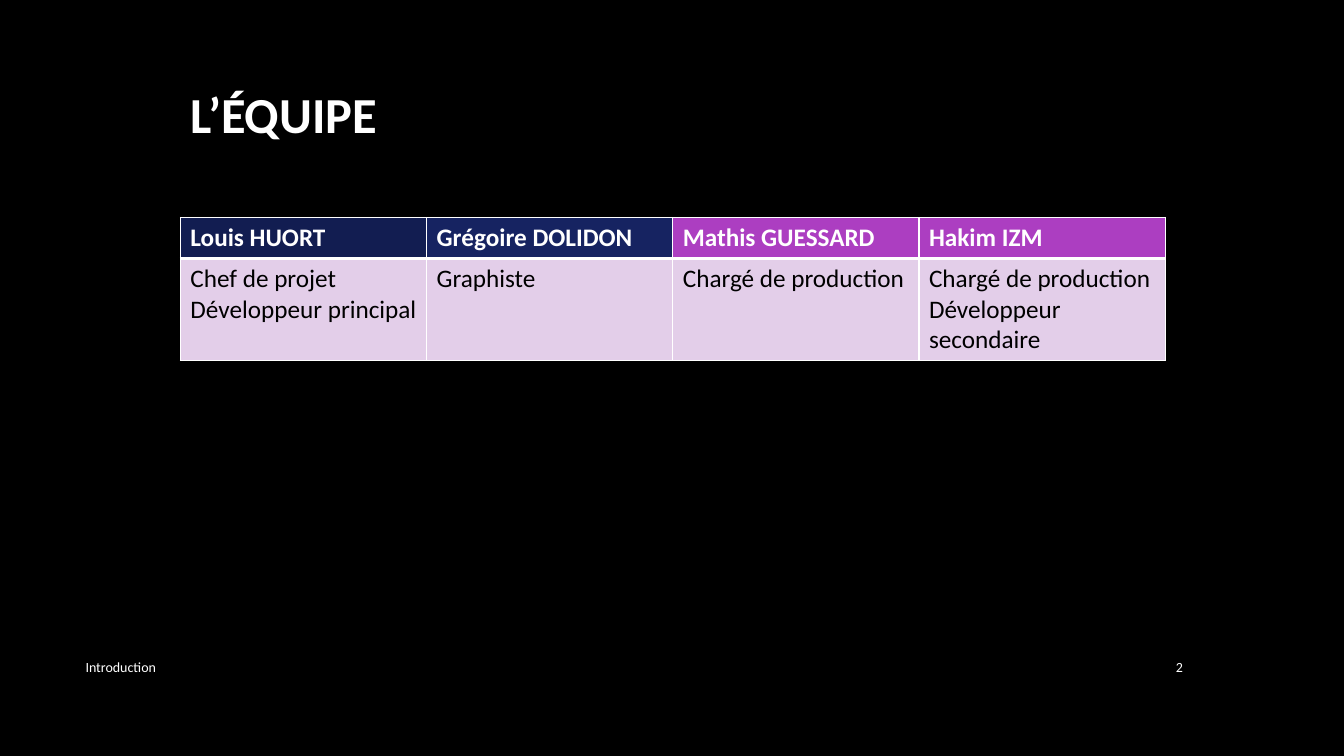
from dataclasses import dataclass

from lxml.etree import SubElement
from pptx import Presentation
from pptx.dml.color import RGBColor
from pptx.enum.text import MSO_ANCHOR, PP_ALIGN
from pptx.oxml.ns import qn
from pptx.util import Inches, Pt

COLORS = {
    "black": "000000",
    "white": "FFFFFF",
    "navy": "121D51",
    "blue": "162361",
    "purple": "AC3EC1",
    "lilac": "E3CEE9",
}
FONT = "Calibri"

# Slide grid: 160 columns by 90 rows
WIDTH, HEIGHT = Inches(13.33), Inches(7.5)
COL, ROW = WIDTH / 160, HEIGHT / 90


@dataclass
class Box:
    left: float
    top: float
    width: float
    height: float

    def emu(self) -> tuple[int, int, int, int]:
        return (round(self.left * COL), round(self.top * ROW),
                round(self.width * COL), round(self.height * ROW))


@dataclass
class Member:
    name: str
    color: str
    roles: list[str]


@dataclass
class FooterItem:
    text: str
    box: Box
    align: PP_ALIGN


TITLE_BOX = Box(21.48, 4.8, 117.25, 17.4)
TABLE_BOX = Box(21.48, 25.9, 117.25, 17)
HEADER_ROWS = 4.87

TEAM = [
    Member("Louis HUORT", "navy", ["Chef de projet", "Développeur principal"]),
    Member("Grégoire DOLIDON", "blue", ["Graphiste"]),
    Member("Mathis GUESSARD", "purple", ["Chargé de production"]),
    Member("Hakim IZM", "purple", ["Chargé de production", "Développeur secondaire"]),
]
FOOTER = [
    FooterItem("Introduction", Box(9, 77, 102.7, 4.9), PP_ALIGN.LEFT),
    FooterItem("2", Box(134.8, 77, 7.2, 4.9), PP_ALIGN.RIGHT),
]


def rgb(name: str) -> RGBColor:
    return RGBColor.from_string(COLORS[name])


def write(tf, *lines: str, size: float, color: str = "white",
          bold: bool = False, align: PP_ALIGN = PP_ALIGN.LEFT) -> None:
    for i, line in enumerate(lines):
        p = tf.add_paragraph() if i else tf.paragraphs[0]
        p.alignment = align
        r = p.add_run()
        r.text = line
        r.font.name, r.font.size, r.font.bold = FONT, Pt(size), bold
        r.font.color.rgb = rgb(color)


def style_cell(cell, fill: str, borders: dict[str, float]) -> None:
    # Borders come before the fill in the cell properties
    props = cell._tc.get_or_add_tcPr()
    for side, width in borders.items():
        line = SubElement(props, qn(f"a:ln{side}"), w=str(Pt(width)))
        solid = SubElement(line, qn("a:solidFill"))
        SubElement(solid, qn("a:srgbClr"), val=COLORS["white"])
    cell.fill.solid()
    cell.fill.fore_color.rgb = rgb(fill)


def add_title(s, text: str) -> None:
    sp = s.shapes.title
    sp.left, sp.top, sp.width, sp.height = TITLE_BOX.emu()
    sp.text_frame.vertical_anchor = MSO_ANCHOR.MIDDLE
    write(sp.text_frame, text, size=36, bold=True)


def add_team_table(s, team: list[Member]) -> None:
    table = s.shapes.add_table(2, len(team), *TABLE_BOX.emu()).table
    table.rows[0].height = round(HEADER_ROWS * ROW)
    table.rows[1].height = round((TABLE_BOX.height - HEADER_ROWS) * ROW)
    for i, member in enumerate(team):
        table.columns[i].width = round(TABLE_BOX.width * COL / len(team))
        head, body = table.cell(0, i), table.cell(1, i)
        style_cell(head, member.color, {"L": 1, "R": 1, "T": 1, "B": 3})
        style_cell(body, "lilac", {"L": 1, "R": 1, "B": 1})
        write(head.text_frame, member.name, size=18, bold=True)
        write(body.text_frame, *member.roles, size=18, color="black")


def add_footer_item(s, item: FooterItem) -> None:
    tf = s.shapes.add_textbox(*item.box.emu()).text_frame
    tf.word_wrap = True
    tf.vertical_anchor = MSO_ANCHOR.MIDDLE
    write(tf, item.text, size=10, align=item.align)


def main() -> None:
    prs = Presentation()
    prs.slide_width, prs.slide_height = WIDTH, HEIGHT
    s = prs.slides.add_slide(prs.slide_layouts[5])
    s.background.fill.solid()
    s.background.fill.fore_color.rgb = rgb("black")

    add_title(s, "L’ÉQUIPE")
    add_team_table(s, TEAM)
    for item in FOOTER:
        add_footer_item(s, item)
    prs.save("out.pptx")


if __name__ == "__main__":
    main()
